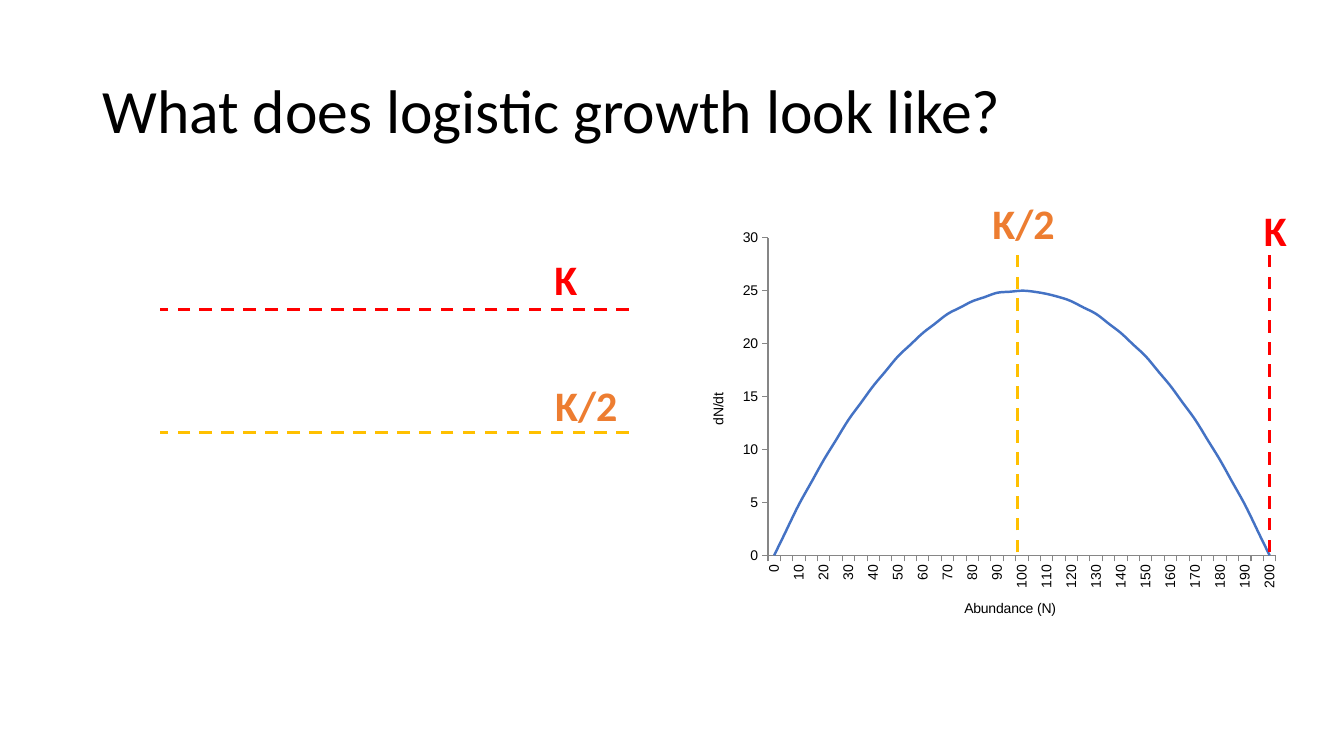
from dataclasses import dataclass

from lxml.etree import SubElement
from pptx import Presentation
from pptx.chart.data import CategoryChartData as Data
from pptx.dml.color import RGBColor as Rgb
from pptx.enum.chart import XL_CHART_TYPE as Kind, XL_TICK_MARK as Tick
from pptx.enum.dml import MSO_LINE_DASH_STYLE as Dash
from pptx.enum.shapes import MSO_CONNECTOR as Link
from pptx.enum.text import MSO_ANCHOR as Anchor, MSO_AUTO_SIZE as Fit
from pptx.oxml.ns import qn
from pptx.util import Cm, Pt


@dataclass(frozen=True)
class Theme:
    black: str = "000000"
    red: str = "FF0000"
    gold: str = "FFC000"
    orange: str = "ED7D31"
    blue: str = "4472C4"
    gray: str = "868686"
    body: str = "Calibri"
    plot: str = "Arial"
    head: int = 44
    mark: int = 30
    axis: int = 10


def apply(item, **form):
    for name, value in form.items():
        setattr(item, name, value)


class Board:
    def __init__(self, slide, theme):
        self.slide, self.theme = slide, theme

    def font(self, font, size, color, name, bold=False):
        apply(font, size=Pt(size), name=name, bold=bold)
        font.color.rgb = Rgb.from_string(color)

    def stroke(self, line, color, width):
        line.color.rgb = Rgb.from_string(color)
        line.width = Pt(width)

    def text(self, words, box, size, color, bold=False, **form):
        frame = self.slide.shapes.add_textbox(*map(Cm, box)).text_frame
        apply(frame, word_wrap=True, **form)
        para = frame.paragraphs[0]
        run = para.add_run()
        run.text = words
        self.font(run.font, size, color, self.theme.body, bold)
        return para

    def title(self, words, box):
        para = self.text(words, box, self.theme.head, self.theme.black,
                         vertical_anchor=Anchor.MIDDLE)
        para.line_spacing = 0.9

    def label(self, words, left, top, width, color):
        self.text(words, (left, top, width, 1.55), self.theme.mark, color,
                  bold=True, auto_size=Fit.SHAPE_TO_FIT_TEXT)

    def dash(self, start, end, color):
        link = self.slide.shapes.add_connector(
            Link.STRAIGHT, *map(Cm, (*start, *end)))
        self.stroke(link.line, color, 2.25)
        link.line.dash_style = Dash.DASH
        SubElement(link._element.spPr, qn("a:effectLst"))

    def axis(self, axis, words, turn):
        """Style one axis; turn rotates its title."""
        look = self.theme.axis, self.theme.black, self.theme.plot
        apply(axis, has_major_gridlines=False, major_tick_mark=Tick.OUTSIDE,
              minor_tick_mark=Tick.NONE)
        self.stroke(axis.format.line, self.theme.gray, 0.75)
        self.font(axis.tick_labels.font, *look)
        frame = axis.axis_title.text_frame
        frame.text = words
        self.font(frame.paragraphs[0].runs[0].font, *look)
        frame._txBody.find(qn("a:bodyPr")).set("rot", str(turn))

    def curve(self, points, box, area):
        """Draw a line chart whose inner plot fills area, in chart fractions."""
        data = Data()
        data.categories = [str(n) for n in points]
        data.add_series("Series 1", list(points.values()))
        chart = self.slide.shapes.add_chart(
            Kind.LINE, *map(Cm, box), data).chart
        apply(chart, has_legend=False, has_title=False)
        self.font(chart.font, self.theme.axis, self.theme.black,
                  self.theme.plot)
        chart.plots[0].vary_by_categories = False
        line = chart.plots[0].series[0]
        line.smooth = True
        self.stroke(line.format.line, self.theme.blue, 1.75)

        across, up = chart.category_axis, chart.value_axis
        self.axis(across, "Abundance (N)", 0)
        self.axis(up, "dN/dt", -5400000)
        apply(up, minimum_scale=0, maximum_scale=30, major_unit=5)
        node = across._element
        node.find(qn("c:txPr")).find(qn("a:bodyPr")).set("rot", "-5400000")
        last = node.find(qn("c:noMultiLvlLbl"))
        for tag, step in (("c:tickLblSkip", 2), ("c:tickMarkSkip", 1)):
            skip = SubElement(node, qn(tag), val=str(step))
            last.addprevious(skip)

        plot = chart._chartSpace.chart.plotArea
        for old in plot.findall(qn("c:layout")):
            plot.remove(old)
        layout = SubElement(plot, qn("c:layout"))
        plot.insert(0, layout)
        manual = SubElement(layout, qn("c:manualLayout"))
        parts = [("layoutTarget", "inner"), ("xMode", "edge"),
                 ("yMode", "edge"), *zip("xywh", area)]
        for tag, value in parts:
            SubElement(manual, qn("c:" + tag), val=str(value))


def main():
    deck = Presentation()
    apply(deck, slide_width=Cm(33.87), slide_height=Cm(19.05))
    theme = Theme()
    board = Board(deck.slides.add_slide(deck.slide_layouts[6]), theme)
    board.title("What does logistic growth look like?",
                (2.33, 1.01, 29.21, 3.68))

    rate, limit = 0.5, 200
    growth = {n: round(rate * n * (1 - n / limit), 1)
              for n in range(0, limit + 1, 5)}
    board.curve(growth, (17.35, 5.46, 15.42, 10.67),
                (0.13, 0.05, 0.83, 0.75))

    for y, color in ((7.8, theme.red), (10.9, theme.gold)):
        board.dash((15.85, y), (4.04, y), color)
    for x, color in ((25.65, theme.gold), (32, theme.red)):
        board.dash((x, 13.92), (x, 6.22), color)
    for left, top in ((13.72, 6.27), (31.6, 5.03)):
        board.label("K", left, top, 1.22, theme.red)
    for left, top in ((24.76, 4.85), (13.74, 9.45)):
        board.label("K/2", left, top, 2.44, theme.orange)
    deck.save("out.pptx")


if __name__ == "__main__":
    main()
